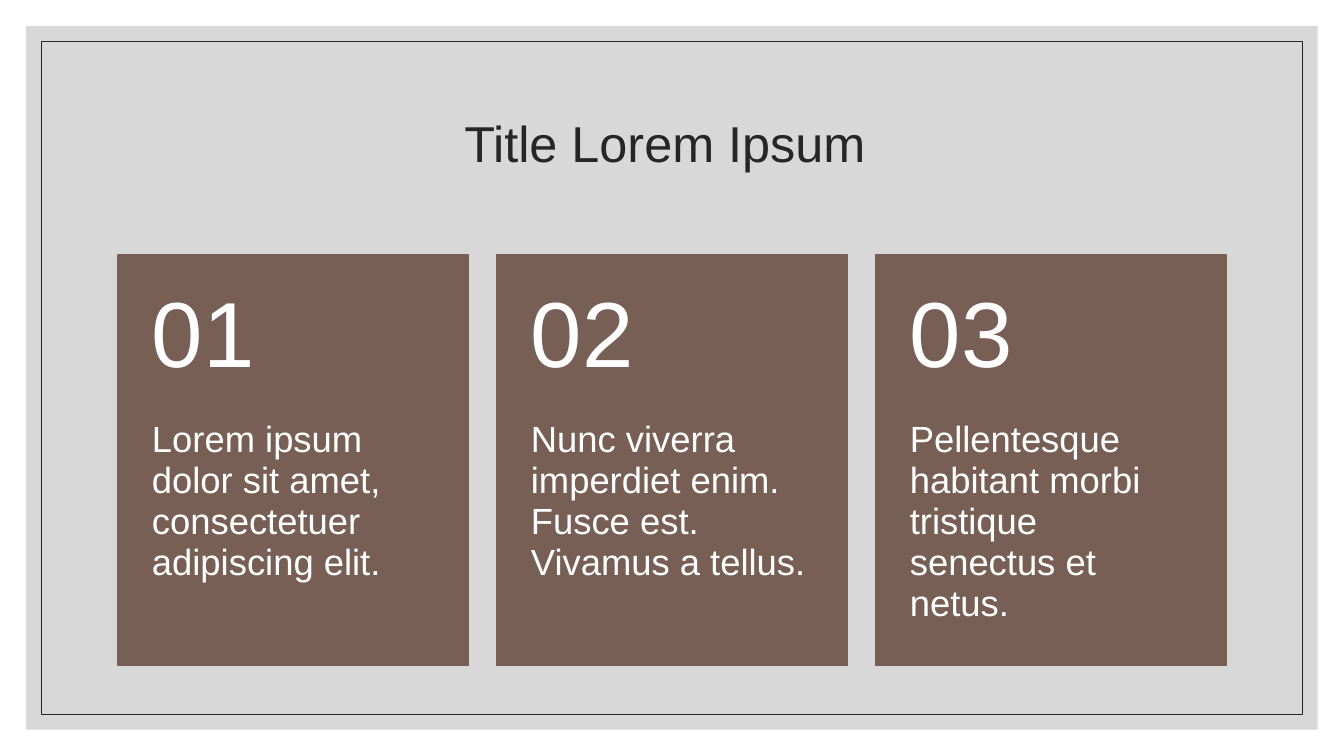
from lxml.etree import SubElement
from pptx import Presentation
from pptx.dml.color import RGBColor
from pptx.enum.shapes import MSO_SHAPE
from pptx.enum.text import MSO_ANCHOR, PP_ALIGN
from pptx.oxml.ns import qn
from pptx.util import Cm, Pt

# Content
TITLE = "Title Lorem Ipsum "
CARDS = [
    ("01", "Lorem ipsum dolor sit amet, consectetuer adipiscing elit."),
    ("02", "Nunc viverra imperdiet enim. Fusce est. Vivamus a tellus."),
    ("03", "Pellentesque habitant morbi tristique senectus et netus."),
]

# Formats
COLORS = {"panel": "BFBFBF", "ink": "262626", "card": "775F55", "text": "FFFFFF"}
FONT = "Arial"
STYLES = {
    "title": {"size": 36, "color": "ink", "pad": (0.25, 0.13, 0.25, 0.13),
              "frame": {"vertical_anchor": MSO_ANCHOR.MIDDLE},
              "para": {"alignment": PP_ALIGN.CENTER, "line_spacing": 0.9}},
    "number": {"size": 66, "color": "text", "pad": (0.86, 0.46, 0.86, 0.46),
               "frame": {"vertical_anchor": MSO_ANCHOR.MIDDLE},
               "para": {"alignment": PP_ALIGN.LEFT, "line_spacing": 0.9}},
    "body": {"size": 26, "color": "text", "pad": (0.86, 0, 0.86, 0.91),
             "frame": {"vertical_anchor": MSO_ANCHOR.TOP},
             "para": {"alignment": PP_ALIGN.LEFT, "line_spacing": 0.94}},
}
SIDES = ("margin_left", "margin_top", "margin_right", "margin_bottom")

# Layout in centimetres
WIDE, HIGH = 33.87, 19.05
LEFT, TOP = 2.97, 6.43
CARD_W, CARD_H, HEAD_H, GAP = 8.84, 10.34, 4.14, 0.71


def tint(name):
    return RGBColor.from_string(COLORS[name])


def inset(gap):
    return gap, gap, WIDE - 2 * gap, HIGH - 2 * gap


def add_box(shapes, area, fill=None, line=None, width=1):
    box = shapes.add_shape(MSO_SHAPE.RECTANGLE, *map(Cm, area))
    box.shadow.inherit = False
    if fill:
        box.fill.solid()
        box.fill.fore_color.rgb = tint(fill)
    else:
        box.fill.background()
    if line:
        box.line.color.rgb = tint(line)
        box.line.width = Pt(width)
    else:
        box.line.fill.background()
    return box


def add_text(shapes, area, text, kind):
    style = STYLES[kind]
    frame = shapes.add_textbox(*map(Cm, area)).text_frame
    frame.word_wrap = True
    for side, pad in zip(SIDES, style["pad"]):
        setattr(frame, side, Cm(pad))
    para = frame.paragraphs[0]
    for item, part in ((frame, "frame"), (para, "para")):
        for key, value in style[part].items():
            setattr(item, key, value)
    run = para.add_run()
    run.text = text
    for key, value in {"name": FONT, "size": Pt(style["size"])}.items():
        setattr(run.font, key, value)
    run.font.color.rgb = tint(style["color"])


deck = Presentation()
deck.slide_width, deck.slide_height = Cm(WIDE), Cm(HIGH)
shapes = deck.slides.add_slide(deck.slide_layouts[6]).shapes

# Translucent panel and thin frame
panel = add_box(shapes, inset(0.66), fill="panel")
shade = panel.fill._xPr.find(".//" + qn("a:srgbClr"))
SubElement(shade, qn("a:alpha"), val="60000")
add_box(shapes, inset(1.04), line="ink", width=0.5)

# Title
add_text(shapes, (LEFT, 1.78, WIDE - 2 * LEFT, 3.81), TITLE, "title")

# Numbered cards
for i, (number, body) in enumerate(CARDS):
    x = LEFT + i * (CARD_W + GAP)
    card = shapes.add_group_shape().shapes
    add_box(card, (x, TOP, CARD_W, CARD_H), fill="card", line="card")
    add_text(card, (x, TOP + HEAD_H, CARD_W, CARD_H - HEAD_H), body, "body")
    add_text(card, (x, TOP, CARD_W, HEAD_H), number, "number")

deck.save("out.pptx")
